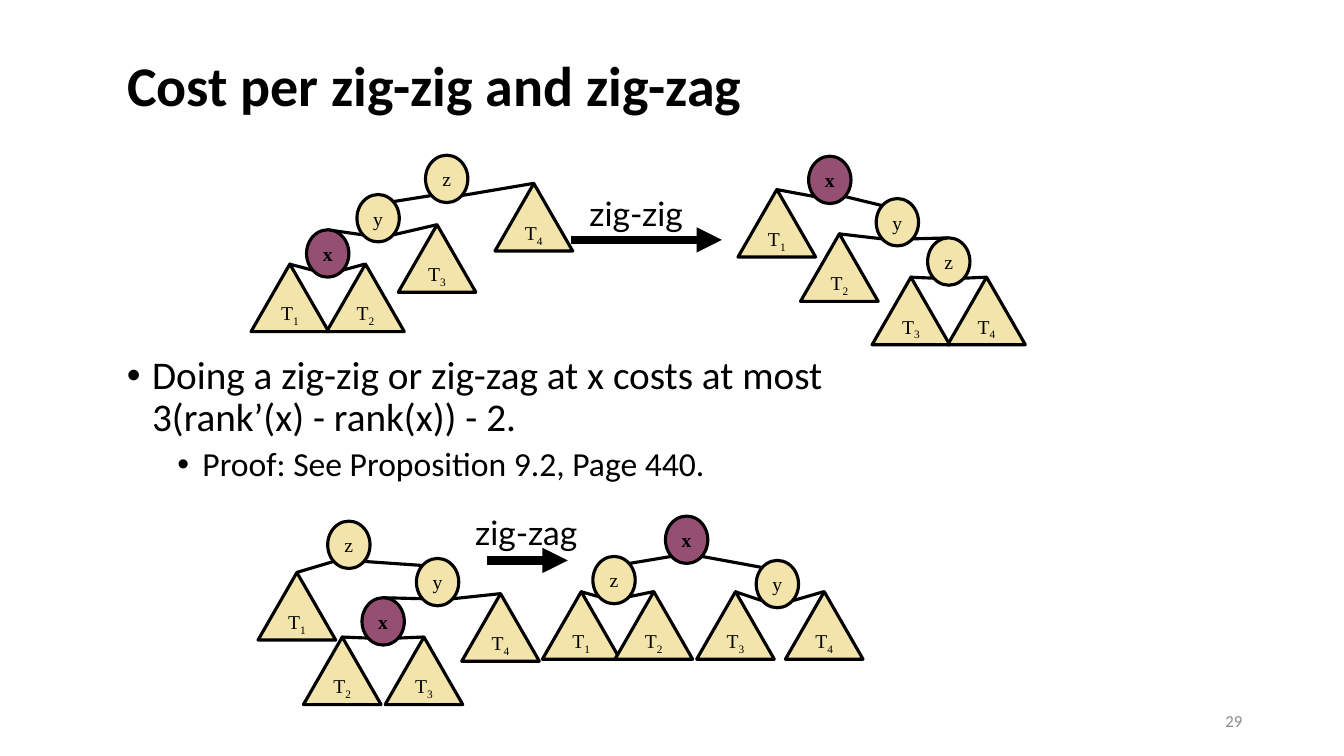
from lxml.etree import SubElement
from pptx import Presentation
from pptx.dml.color import RGBColor
from pptx.enum.shapes import MSO_CONNECTOR, MSO_SHAPE
from pptx.enum.text import MSO_ANCHOR, MSO_AUTO_SIZE, PP_ALIGN
from pptx.oxml.ns import qn
from pptx.util import Pt

PX = 9144  # 100 px to the inch
BLACK, CREAM, PLUM, GRAY = "000000", "F2E4AA", "954F72", "8C8C8C"
OVAL_W, OVAL_H = 42, 47
TRIANGLE_W, TRIANGLE_H = 77, 67
CORNER_X, CORNER_Y = 6, 7  # inset of an oval's diagonal points from its bounds


def style_text(para, size, font, color=BLACK, bold=False, align=PP_ALIGN.LEFT):
    para.alignment = align
    para.font.size = Pt(size)
    para.font.name = font
    para.font.bold = bold
    para.font.color.rgb = RGBColor.from_string(color)


def add_line(x1, y1, x2, y2, width=2.25):
    line = slide.shapes.add_connector(
        MSO_CONNECTOR.STRAIGHT, x1 * PX, y1 * PX, x2 * PX, y2 * PX)
    line.line.color.rgb = RGBColor.from_string(BLACK)
    line.line.width = Pt(width)
    SubElement(line._element.spPr, qn("a:effectLst"))
    return line


deck = Presentation()
deck.slide_width, deck.slide_height = 1333 * PX, 750 * PX
slide = deck.slides.add_slide(deck.slide_layouts[5])

title = slide.shapes.title
title.left, title.top, title.width, title.height = 116 * PX, 42 * PX, 802 * PX, 92 * PX
title.text_frame.text = "Cost per zig-zig and zig-zag"
title.text_frame.vertical_anchor = MSO_ANCHOR.MIDDLE
title.text_frame.auto_size = MSO_AUTO_SIZE.NONE
title.text_frame.paragraphs[0].line_spacing = 0.9
style_text(title.text_frame.paragraphs[0], 40, "Calibri", bold=True)

body = slide.shapes.add_textbox(116 * PX, 348 * PX, 908 * PX, 358 * PX).text_frame
body.word_wrap = True
body.text = ("Doing a zig-zig or zig-zag at x costs at most\v3(rank’(x) - rank(x)) - 2.\n"
             "Proof: See Proposition 9.2, Page 440.")
for level, (para, size, before, margin) in enumerate(
        zip(body.paragraphs, (28, 24), (10, 5), (25, 75))):
    style_text(para, size, "Calibri")
    para.level = level
    para.line_spacing = 0.9
    para.space_before = Pt(before)
    properties = para._p.get_or_add_pPr()
    properties.set("marL", str(margin * PX))
    properties.set("indent", str(-25 * PX))
    SubElement(properties, qn("a:buFont")).set("typeface", "Arial")
    SubElement(properties, qn("a:buChar")).set("char", "•")

# Each tree lists its root first: label -> (parent, left, top)
trees = [
    {"z": (None, 422, 154), "y": ("z", 354, 193), "x": ("y", 304, 228),
     "T1": ("x", 249, 262), "T2": ("x", 324, 262), "T3": ("y", 395, 223),
     "T4": ("z", 491, 182)},
    {"x": (None, 802, 155), "y": ("x", 869, 197), "z": ("y", 920, 236),
     "T1": ("x", 732, 188), "T2": ("y", 794, 232), "T3": ("z", 865, 275),
     "T4": ("z", 940, 275)},
    {"z": (None, 325, 517), "y": ("z", 413, 554), "x": ("y", 359, 593),
     "T1": ("z", 256, 568), "T2": ("x", 301, 632), "T3": ("x", 382, 632),
     "T4": ("y", 458, 589)},
    {"x": (None, 660, 512), "z": ("x", 588, 552), "y": ("x", 750, 556),
     "T1": ("z", 538, 587), "T2": ("z", 610, 587), "T3": ("y", 691, 587),
     "T4": ("y", 779, 587)},
]
for tree in trees:
    root = next(iter(tree))
    for label, (parent, left, top) in tree.items():
        if parent is None:
            continue
        is_subtree = label.startswith("T")
        _, parent_left, parent_top = tree[parent]
        end_x, end_y = left + (TRIANGLE_W if is_subtree else OVAL_W) // 2, top
        goes_left = end_x < parent_left + OVAL_W // 2
        start_x = parent_left + (CORNER_X if goes_left else OVAL_W - CORNER_X)
        if parent == root and not is_subtree:
            end_x = left + (OVAL_W - CORNER_X if goes_left else CORNER_X)
            end_y = top + CORNER_Y
        add_line(start_x, parent_top + OVAL_H - CORNER_Y, end_x, end_y)

    for label, (_, left, top) in tree.items():
        if label.startswith("T"):
            kind, width, height = MSO_SHAPE.ISOSCELES_TRIANGLE, TRIANGLE_W, TRIANGLE_H
        else:
            kind, width, height = MSO_SHAPE.OVAL, OVAL_W, OVAL_H
        node = slide.shapes.add_shape(kind, left * PX, top * PX, width * PX, height * PX)
        node.shadow.inherit = False
        node.fill.solid()
        node.fill.fore_color.rgb = RGBColor.from_string(PLUM if label == "x" else CREAM)
        node.line.color.rgb = RGBColor.from_string(BLACK)
        node.line.width = Pt(2.25)
        node.text_frame.word_wrap = False
        node.text_frame.vertical_anchor = MSO_ANCHOR.MIDDLE
        para = node.text_frame.paragraphs[0]
        style_text(para, 14, "Times New Roman", bold=label == "x", align=PP_ALIGN.CENTER)
        para.add_run().text = label[0]
        if label[1:]:
            span = para.add_run()
            span.text = label[1:]
            span._r.get_or_add_rPr().set("baseline", "-25000")

rotations = [("zig-zig", 574, 186, 114, 566, 716, 238),
             ("zig-zag", 460, 503, 124, 483, 563, 556)]
for name, left, top, width, arrow_start, arrow_end, arrow_y in rotations:
    arrow = add_line(arrow_start, arrow_y, arrow_end, arrow_y, width=6)
    SubElement(arrow.line._get_or_add_ln(), qn("a:tailEnd")).set("type", "triangle")
    caption = slide.shapes.add_textbox(left * PX, top * PX, width * PX, 50 * PX).text_frame
    caption.word_wrap = False
    caption.vertical_anchor = MSO_ANCHOR.MIDDLE
    caption.text = name
    style_text(caption.paragraphs[0], 24, "Lato", align=PP_ALIGN.CENTER)

number = slide.shapes.add_textbox(942 * PX, 695 * PX, 300 * PX, 40 * PX).text_frame
number.word_wrap = True
number.vertical_anchor = MSO_ANCHOR.MIDDLE
number.text = "29"
style_text(number.paragraphs[0], 12, "Calibri", GRAY, align=PP_ALIGN.RIGHT)

deck.save("out.pptx")
